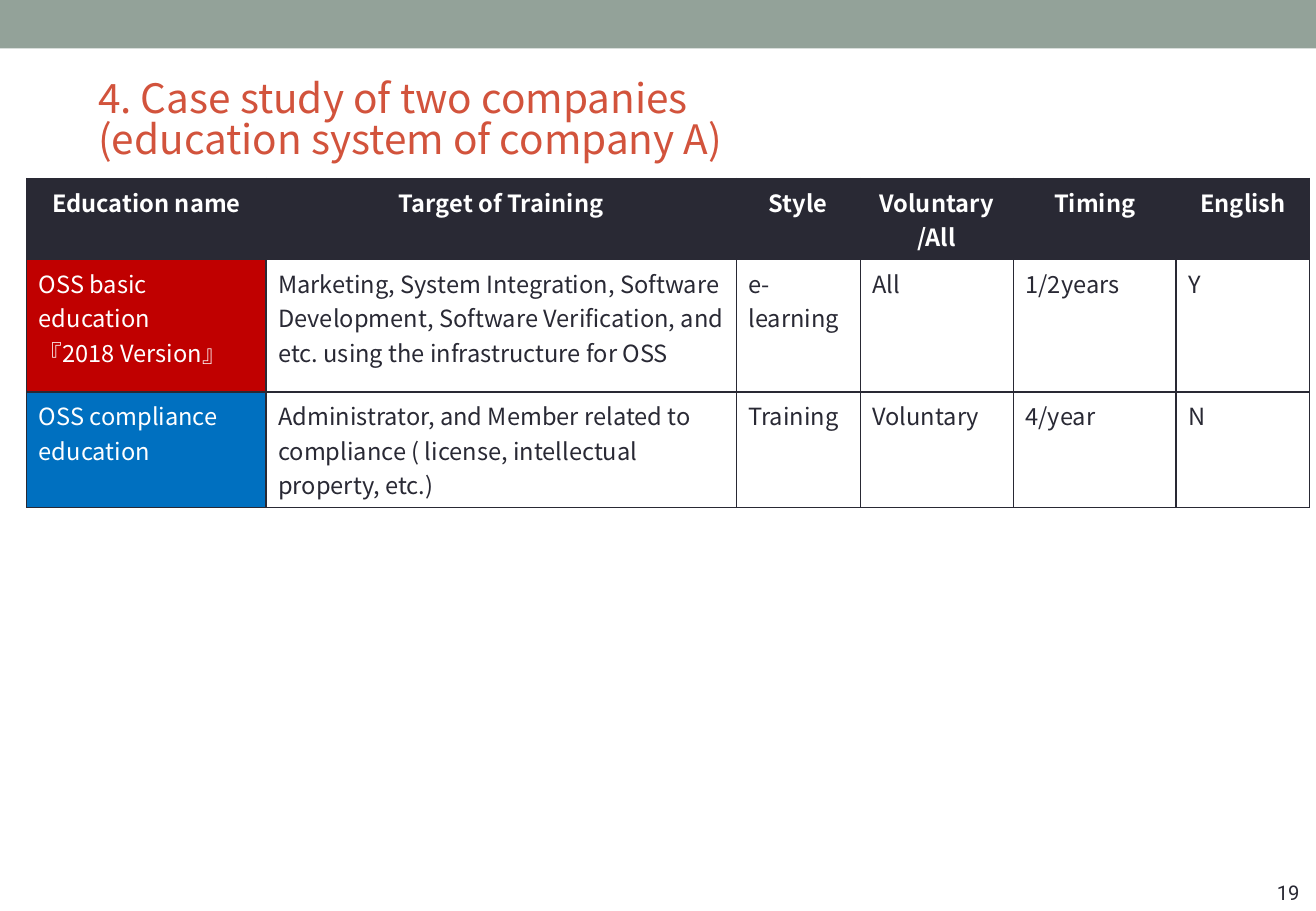
from lxml.etree import SubElement
from pptx import Presentation
from pptx.dml.color import RGBColor
from pptx.enum.shapes import MSO_SHAPE as Shape
from pptx.enum.text import MSO_ANCHOR as Anchor, PP_ALIGN as Align
from pptx.oxml.ns import qn
from pptx.util import Inches, Pt

# Content
TITLE = "4. Case study of two companies\n(education system of company A)"
PAGE_NUMBER = "19"
HEADERS = ["Education name", "Target of Training", "Style",
           "Voluntary\n/All", "Timing", "English"]
# Each course: its name as paragraphs, then the remaining columns
COURSES = [
    (["OSS basic education", "『2018 Version』"],
     "Marketing, System Integration, Software Development, Software "
     "Verification, and etc. using the infrastructure for OSS",
     "e-learning", "All", "1/2years", "Y"),
    (["OSS compliance education"],
     "Administrator, and Member related to compliance ( license, "
     "intellectual property, etc.)",
     "Training", "Voluntary", "4/year", "N"),
]

# Theme
THEME = {
    "band": "93A299", "dark": "292934", "light": "FFFFFF", "title": "D2533C",
    "courses": ["C00000", "0070C0"],
    "font": "Noto Sans CJK JP", "number_font": "Roboto",
    "title_size": 24, "table_size": 14, "number_size": 12, "border": 1,
}

# Layout, in inches
SLIDE_W, SLIDE_H = 10.83, 7.5
BAND_H = 0.4
TITLE_BOX = (0.71, 0.46, 9.75, 1.08)
NUMBER_BOX = (10.41, 7.17, 0.44, 0.36)
TABLE_LEFT, TABLE_TOP = 0.22, 1.47
COLUMN_WIDTHS = [1.97, 3.87, 1.02, 1.26, 1.34, 1.1]
ROW_HEIGHTS = [0.66, 1.09, 0.95]


def rgb(value):
    return RGBColor.from_string(value)


def write(frame, paragraphs, size, color, font=THEME["font"], bold=False,
          align=Align.LEFT, spacing=None):
    frame.word_wrap = True
    style = {"size": Pt(size), "name": font, "bold": bold}
    for index, text in enumerate(paragraphs):
        paragraph = frame.add_paragraph() if index else frame.paragraphs[0]
        paragraph.text = text
        paragraph.alignment = align
        paragraph.line_spacing = spacing
        for run in paragraph.runs:
            for key, value in style.items():
                setattr(run.font, key, value)
            run.font.color.rgb = rgb(color)
            SubElement(run.font._element, qn("a:ea"), typeface=font)


def add_text(box, text, size, color, **options):
    frame = slide.shapes.add_textbox(*map(Inches, box)).text_frame
    frame.vertical_anchor = Anchor.MIDDLE
    write(frame, [text], size, color, **options)


def draw_borders(cell):
    properties = cell._tc.get_or_add_tcPr()
    for position, side in enumerate(("a:lnL", "a:lnR", "a:lnT", "a:lnB")):
        line = SubElement(properties, qn(side), w=str(Pt(THEME["border"])))
        fill = SubElement(line, qn("a:solidFill"))
        SubElement(fill, qn("a:srgbClr"), val=THEME["dark"])
        properties.insert(position, line)


def fill_cell(cell, paragraphs, fill, color, **options):
    cell.fill.solid()
    cell.fill.fore_color.rgb = rgb(fill)
    draw_borders(cell)
    write(cell.text_frame, paragraphs, THEME["table_size"], color, **options)


# Slide
presentation = Presentation()
presentation.slide_width = Inches(SLIDE_W)
presentation.slide_height = Inches(SLIDE_H)
slide = presentation.slides.add_slide(presentation.slide_layouts[6])

# Top band
band = slide.shapes.add_shape(Shape.RECTANGLE, 0, 0, Inches(SLIDE_W), Inches(BAND_H))
band.shadow.inherit = False
band.fill.solid()
band.fill.fore_color.rgb = rgb(THEME["band"])
band.line.fill.background()

# Education table
table = slide.shapes.add_table(
    len(ROW_HEIGHTS), len(COLUMN_WIDTHS), Inches(TABLE_LEFT), Inches(TABLE_TOP),
    Inches(sum(COLUMN_WIDTHS)), Inches(sum(ROW_HEIGHTS))).table
table.horz_banding = False
for column, width in zip(table.columns, COLUMN_WIDTHS):
    column.width = Inches(width)
for row, height in zip(table.rows, ROW_HEIGHTS):
    row.height = Inches(height)

for col, header in enumerate(HEADERS):
    fill_cell(table.cell(0, col), [header], THEME["dark"], THEME["light"],
              bold=True, align=Align.CENTER)
for row, (name, *details) in enumerate(COURSES, start=1):
    fill_cell(table.cell(row, 0), name, THEME["courses"][row - 1], THEME["light"])
    for col, detail in enumerate(details, start=1):
        fill_cell(table.cell(row, col), [detail], THEME["light"], THEME["dark"])

# Title and page number
add_text(TITLE_BOX, TITLE, THEME["title_size"], THEME["title"], spacing=0.84)
add_text(NUMBER_BOX, PAGE_NUMBER, THEME["number_size"], THEME["dark"],
         font=THEME["number_font"])

presentation.save("out.pptx")
